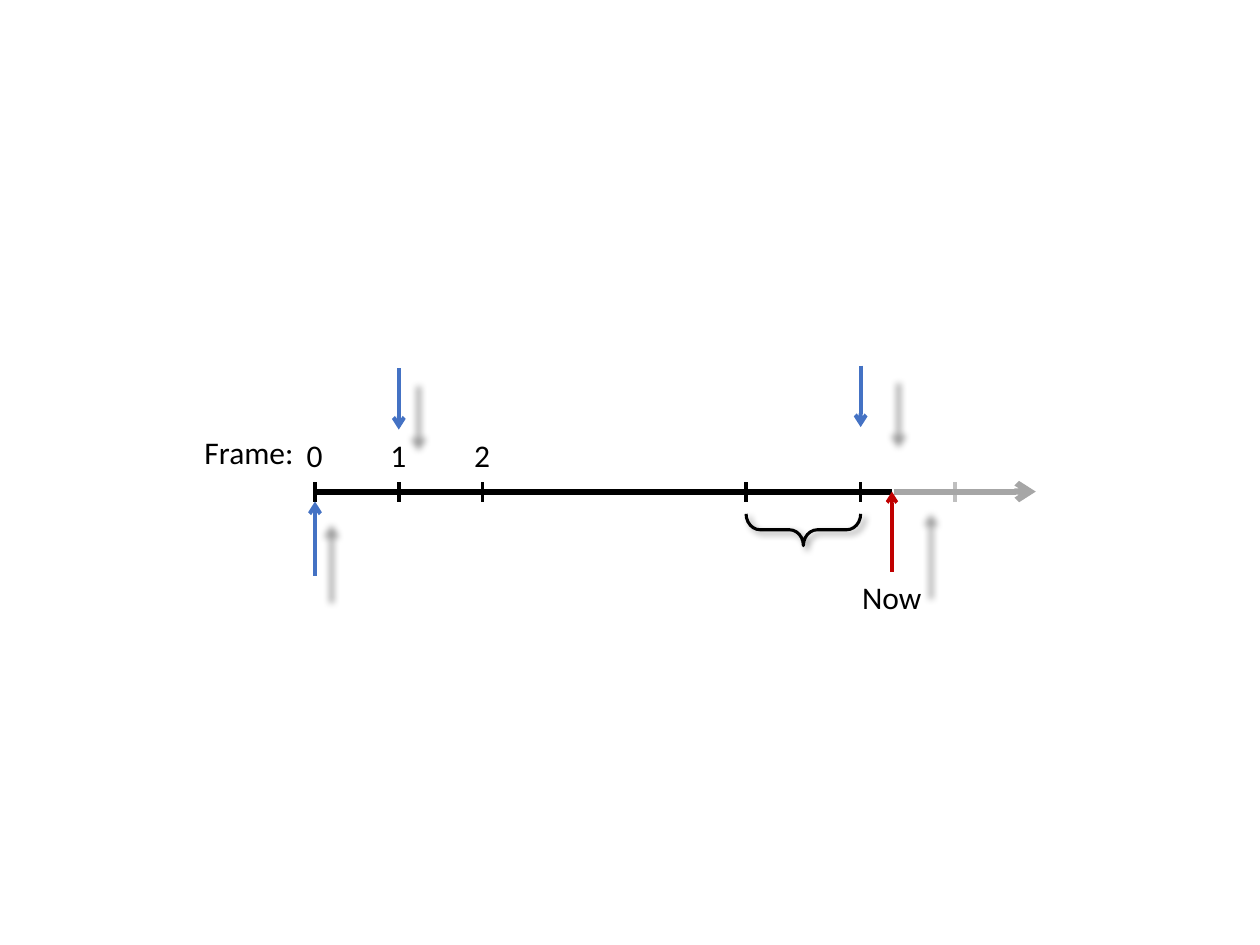
"""Build a frame timeline slide with event arrows, a brace and a marker for the present."""
from lxml import etree
from pptx import Presentation
from pptx.dml.color import RGBColor
from pptx.enum.shapes import MSO_CONNECTOR, MSO_SHAPE
from pptx.enum.text import MSO_AUTO_SIZE, PP_ALIGN
from pptx.oxml.ns import qn
from pptx.util import Cm, Pt

STRAIGHT = MSO_CONNECTOR.STRAIGHT
BRACE = MSO_SHAPE.RIGHT_BRACE
GROW = MSO_AUTO_SIZE.SHAPE_TO_FIT_TEXT
LEFT, CENTER, RIGHT = PP_ALIGN.LEFT, PP_ALIGN.CENTER, PP_ALIGN.RIGHT
COLORS = {"ink": "000000", "event": "4472C4", "now": "C00000",
          "future": "A6A6A6", "future_tick": "BFBFBF"}
FONT = {"name": "Calibri", "size": Pt(18)}
SHADOW = {"blurRad": "50800", "dist": "38100", "dir": "2700000",
          "algn": "tl", "rotWithShape": "0"}
SCALED = {"sx": "104000", "sy": "104000"}


def set_effects(sp, shadow=None):
    effects = sp._element.spPr.find(qn("a:effectLst"))
    if effects is None:
        effects = etree.SubElement(sp._element.spPr, qn("a:effectLst"))
    if shadow:
        outer = etree.SubElement(effects, qn("a:outerShdw"), shadow)
        color = etree.SubElement(outer, qn("a:srgbClr"), val=COLORS["ink"])
        etree.SubElement(color, qn("a:alpha"), val="40000")


def add_line(x1, y1, x2, y2, color, width, arrow=False, shadow=None):
    sp = s.shapes.add_connector(STRAIGHT, Cm(x1), Cm(y1), Cm(x2), Cm(y2))
    sp.line.color.rgb = RGBColor.from_string(COLORS[color])
    sp.line.width = Pt(width)
    if arrow:
        etree.SubElement(sp.line._ln, qn("a:tailEnd"), type="arrow")
    set_effects(sp, shadow)


prs = Presentation()
prs.slide_width, prs.slide_height = Cm(25.4), Cm(19.05)
s = prs.slides.add_slide(prs.slide_layouts[6])

axis_y, tick = 9.91, 0.2
start, now, end = 6.35, 17.98, 20.88
frames = [start + 1.69 * i for i in range(3)]
prev_frame, last_frame, next_frame = 15.04, 17.35, 19.25

add_line(start, axis_y, now, axis_y, "ink", 3.5)
for x in frames + [prev_frame, last_frame, next_frame]:
    color = "future_tick" if x > now else "ink"
    add_line(x, axis_y + tick, x, axis_y - tick, color, 2)

for x, y1, y2, color, width in [
    (start, 11.61, axis_y + tick, "event", 2.25),
    (frames[1], 7.42, 8.66, "event", 2.25),
    (last_frame, 7.37, 8.61, "event", 2.25),
    (now, 11.53, axis_y, "now", 2),
]:
    add_line(x, y1, x, y2, color, width, True, {**SHADOW, **SCALED})
add_line(now + 0.05, axis_y, end, axis_y, "future", 3.5, True)

labels = [(str(i), x - 0.42, 8.66, 0.84, LEFT) for i, x in enumerate(frames)]
labels += [("Now", now - 1.26, 11.53, 2.52, CENTER),
           ("Frame:", 3.73, 8.61, 2.44, RIGHT)]
for text, x, y, w, align in labels:
    tf = s.shapes.add_textbox(Cm(x), Cm(y), Cm(w), Cm(1.02)).text_frame
    tf.word_wrap = False
    tf.auto_size = GROW
    p = tf.paragraphs[0]
    p.alignment = align
    r = p.add_run()
    r.text = text
    for key, value in FONT.items():
        setattr(r.font, key, value)
    r.font.color.rgb = RGBColor.from_string(COLORS["ink"])

w, h = 0.64, last_frame - prev_frame
mid_x, mid_y = (prev_frame + last_frame) / 2, 10.68
sp = s.shapes.add_shape(BRACE, Cm(mid_x - w / 2), Cm(mid_y - h / 2), Cm(w), Cm(h))
sp.rotation = 90
sp.adjustments[0], sp.adjustments[1] = 0.44, 0.5
sp.fill.background()
sp.line.color.rgb = RGBColor.from_string(COLORS["ink"])
sp.line.width = Pt(1.75)
sp.shadow.inherit = False
set_effects(sp, SHADOW)

prs.save("out.pptx")
